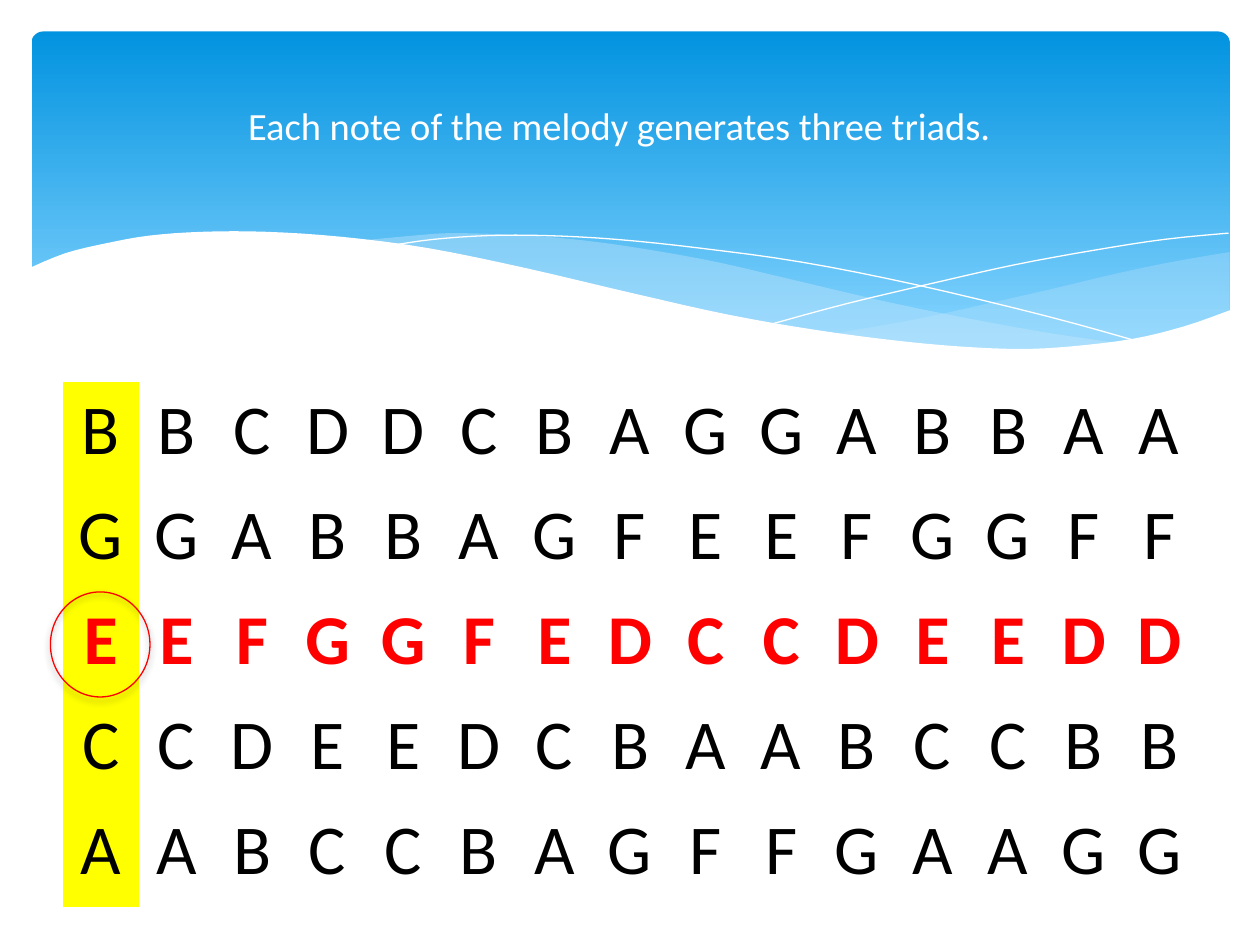
"""Build a slide showing the three triads generated by each melody note."""
import pptx
import pptx.dml.color
import pptx.enum.shapes
import pptx.enum.text
import pptx.oxml
import pptx.oxml.ns
import pptx.util

TITLE = "Each note of the melody generates three triads. "
NOTES = [
    "BBCDDCBAGGABBAA",
    "GGABBAGFEEFGGFF",
    "EEFGGFEDCCDEEDD",
    "CCDEEDCBAABCCBB",
    "AABCCBAGFFGAAGG",
]
MELODY_ROW = 2
TRIAD_SIZE = 3

THEME = {
    "font": "Calibri", "title_size": 22, "note_size": 40,
    "title": "FFFFFF", "note": "000000", "melody": "FF0000",
    "highlight": "FFFF00", "paper": "FFFFFF", "wave": "C6E7FC",
    "sky_top": "0293E0", "sky_bottom": "83D3FE",
}
SLIDE_WIDTH, SLIDE_HEIGHT = 10, 7.5
GRID_LEFT, GRID_TOP = 0.5, 3.03
COLUMN_WIDTH, ROW_HEIGHT = 0.6, 0.834
PLAIN_TABLE_STYLE = "{2D5ABB26-0587-4C30-8999-92F81FD0307C}"

RIGHT_WAVE = [
    [(9.76, 2), (9.35, 2.07), (8.91, 2.16), (8.32, 2.3), (7.79, 2.42), (7.29, 2.53), (6.61, 2.65)],
    [(6.61, 2.65), (7.19, 2.72), (7.69, 2.77), (8.14, 2.78), (8.54, 2.76),
     (8.97, 2.7), (9.35, 2.62), (9.76, 2.47)],
]
LONG_WAVE = [
    [(8.93, 2.73), (8.37, 2.65), (7.75, 2.54), (7.06, 2.4), (6.29, 2.22), (5.69, 2.08),
     (5.14, 1.98), (4.65, 1.91), (4.2, 1.87), (3.61, 1.85), (3.28, 1.87), (2.86, 1.91)],
    [(2.86, 1.91), (3.42, 1.99), (4.04, 2.11), (4.91, 2.32), (5.66, 2.48), (6.34, 2.61),
     (6.95, 2.7), (7.48, 2.76), (7.96, 2.78), (8.48, 2.77), (8.93, 2.73)],
]
FALLING_LINE = [
    [(3.09, 1.95), (3.44, 1.9), (3.87, 1.87), (4.33, 1.87), (4.89, 1.9), (5.56, 1.97),
     (6.36, 2.08), (7.27, 2.26), (8.31, 2.51), (9.07, 2.72)],
]
RISING_LINE = [
    [(6.13, 2.57), (6.72, 2.41), (7.48, 2.23), (8.06, 2.1), (8.66, 1.99), (9.24, 1.9), (9.75, 1.85)],
]
PAPER_EDGE = [
    [(9.77, 2.46), (9.4, 2.59), (8.99, 2.69), (8.5, 2.75), (8.09, 2.77), (7.61, 2.75),
     (7.08, 2.7), (6.48, 2.62), (5.79, 2.5), (5.03, 2.33), (4.18, 2.13), (3.4, 1.97),
     (2.71, 1.88), (2.11, 1.84), (1.61, 1.84), (1.19, 1.87), (0.85, 1.93), (0.52, 2.01), (0.23, 2.13)],
    [(0.23, 3.29), (9.77, 3.29)],
]


def inches(*lengths):
    return [pptx.util.Inches(length) for length in lengths]


def rgb(name):
    return pptx.dml.color.RGBColor.from_string(THEME[name])


def smooth_curve(knots, steps=4):
    padded = [knots[0], *knots, knots[-1]]
    points = [knots[0]]
    for before, start, end, after in zip(padded, padded[1:], padded[2:], padded[3:]):
        for step in range(1, steps + 1):
            t = step / steps
            points.append(tuple(
                (2 * b + (c - a) * t + (2 * a - 5 * b + 4 * c - d) * t ** 2
                 + (3 * b - a - 3 * c + d) * t ** 3) / 2
                for a, b, c, d in zip(before, start, end, after)))
    return points


def add_curve(page, curves, color, opacity=100, closed=True):
    points = [inches(*point) for curve in curves for point in smooth_curve(curve)]
    builder = page.shapes.build_freeform(*points[0], scale=1.0)
    builder.add_line_segments(points[1:], close=closed)
    shape = builder.convert_to_shape()
    shape.shadow.inherit = False
    if not closed:
        shape.fill.background()
        shape.line.color.rgb = rgb(color)
        shape.line.width = 0
        return
    shape.line.fill.background()
    shape.fill.solid()
    shape.fill.fore_color.rgb = rgb(color)
    if opacity < 100:
        tint = shape.element.spPr.find(".//" + pptx.oxml.ns.qn("a:srgbClr"))
        alpha = pptx.oxml.parse_xml(
            f'<a:alpha {pptx.oxml.ns.nsdecls("a")} val="{opacity * 1000}"/>')
        tint.append(alpha)


def write(frame, text, *, size, color, bold=False):
    para = frame.paragraphs[0]
    para.alignment = pptx.enum.text.PP_ALIGN.CENTER
    span = para.add_run()
    span.text = text
    span.font.name = THEME["font"]
    span.font.size = pptx.util.Pt(THEME[size])
    span.font.color.rgb = rgb(color)
    span.font.bold = bold


def add_grid(page, first_row, row_count, column_count, fill=None):
    box = inches(GRID_LEFT, GRID_TOP + first_row * ROW_HEIGHT,
                 column_count * COLUMN_WIDTH, row_count * ROW_HEIGHT)
    table = page.shapes.add_table(row_count, column_count, *box).table
    table.first_row = table.horz_banding = False
    table._tbl.tblPr.find(pptx.oxml.ns.qn("a:tableStyleId")).text = PLAIN_TABLE_STYLE
    for cell in table.iter_cells():
        if fill:
            cell.fill.solid()
            cell.fill.fore_color.rgb = rgb(fill)
        else:
            cell.fill.background()
    return table


def add_header(page):
    sky = page.shapes.add_shape(
        pptx.enum.shapes.MSO_SHAPE.ROUNDED_RECTANGLE, *inches(0.25, 0.25, 9.51, 2.7))
    sky.adjustments[0] = 0.034
    sky.shadow.inherit = False
    sky.line.fill.background()
    sky.fill.gradient()
    sky.fill.gradient_angle = 270
    for stop, color, position in zip(sky.fill.gradient_stops, ("sky_top", "sky_bottom"), (0, 0.9)):
        stop.color.rgb = rgb(color)
        stop.position = position
    add_curve(page, RIGHT_WAVE, "wave", opacity=29)
    add_curve(page, LONG_WAVE, "wave", opacity=40)
    add_curve(page, FALLING_LINE, "paper", closed=False)
    add_curve(page, RISING_LINE, "paper", closed=False)
    add_curve(page, PAPER_EDGE, "paper")


def add_title(page):
    box = page.shapes.add_textbox(*inches(0.22, 0.76, 9.46, 0.47))
    box.text_frame.word_wrap = True
    write(box.text_frame, TITLE, size="title_size", color="title")


def add_notes(page):
    table = add_grid(page, 0, len(NOTES), len(NOTES[0]))
    for row, notes in enumerate(NOTES):
        melody = row == MELODY_ROW
        for column, note in enumerate(notes):
            write(table.cell(row, column).text_frame, note, size="note_size",
                  color="melody" if melody else "note", bold=melody)


def add_melody_ring(page):
    ring = page.shapes.add_shape(
        pptx.enum.shapes.MSO_SHAPE.OVAL,
        *inches(0.4, GRID_TOP + MELODY_ROW * ROW_HEIGHT, 0.79, ROW_HEIGHT))
    ring.fill.background()
    ring.line.color.rgb = rgb("melody")
    ring.line.width = pptx.util.Pt(0.75)
    ring.shadow.inherit = False
    effects = ring.element.spPr.find(pptx.oxml.ns.qn("a:effectLst"))
    effects.append(pptx.oxml.parse_xml(
        f'<a:outerShdw {pptx.oxml.ns.nsdecls("a")} blurRad="{pptx.util.Pt(4)}" '
        f'dist="{pptx.util.Pt(2)}" dir="5400000" rotWithShape="0">'
        f'<a:srgbClr val="{THEME["note"]}"><a:alpha val="38000"/></a:srgbClr></a:outerShdw>'))


def main():
    deck = pptx.Presentation()
    deck.slide_width, deck.slide_height = inches(SLIDE_WIDTH, SLIDE_HEIGHT)
    page = deck.slides.add_slide(deck.slide_layouts[6])
    add_header(page)
    for first_row in reversed(range(len(NOTES) - TRIAD_SIZE + 1)):
        add_grid(page, first_row, TRIAD_SIZE, 1, fill="highlight")
    add_title(page)
    add_notes(page)
    add_melody_ring(page)
    deck.save("out.pptx")


if __name__ == "__main__":
    main()
